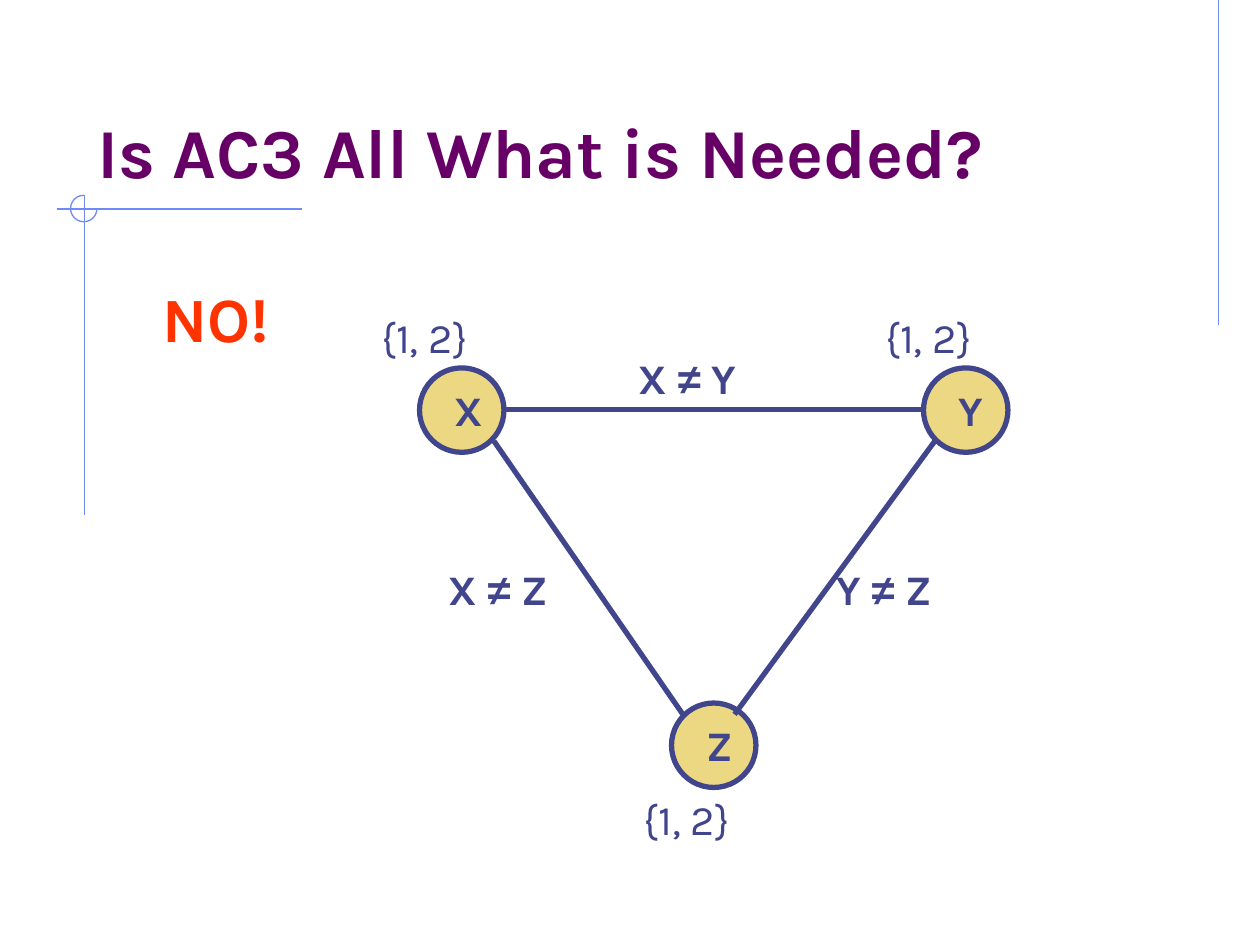
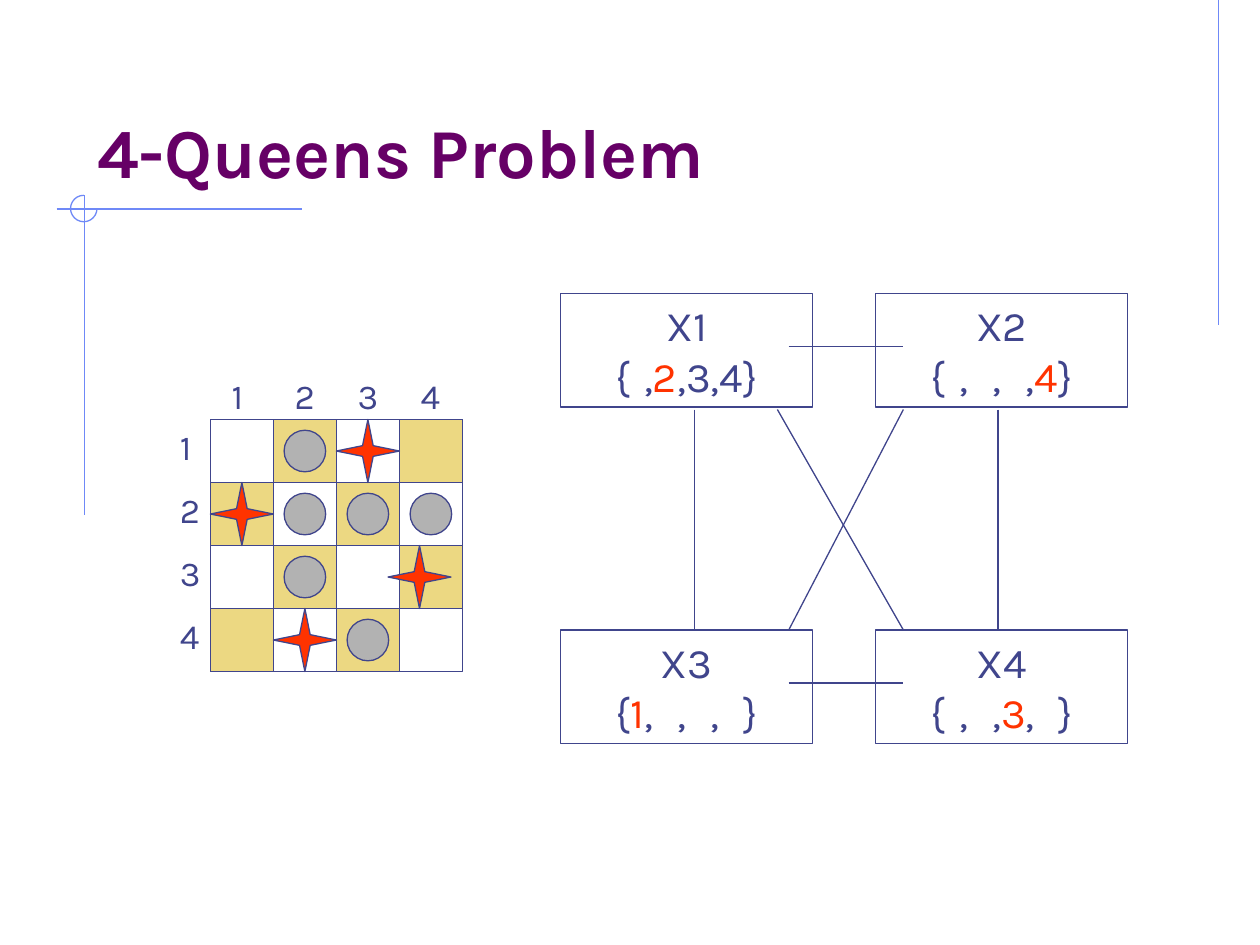
import pptx
import pptx.util
import pptx.dml.color
import pptx.enum.shapes
import pptx.enum.text
import pptx.oxml.ns
from lxml import etree

Inches = pptx.util.Inches
SHAPE = pptx.enum.shapes.MSO_SHAPE
ALIGN = pptx.enum.text.PP_ALIGN
FONT = "Karla"
COLOURS = {
    "title": "660066",
    "ink": "40458C",
    "accent": "FF3300",
    "sand": "ECD882",
    "grey": "B2B2B2",
    "frame": "6F89F7",
    "paper": "FFFFFF",
}


def colour(name):
    return pptx.dml.color.RGBColor.from_string(COLOURS[name])


# Shared drawing helpers
def add_line(page, start, end, ink="ink", weight=0.75):
    line = page.shapes.add_connector(
        pptx.enum.shapes.MSO_CONNECTOR.STRAIGHT,
        *(Inches(value) for value in (*start, *end)))
    line.line.color.rgb = colour(ink)
    line.line.width = pptx.util.Pt(weight)
    etree.SubElement(line.element.spPr, pptx.oxml.ns.qn("a:effectLst"))
    return line


def add_figure(page, kind, box, fill=None, ink="ink", weight=0.75):
    figure = page.shapes.add_shape(kind, *(Inches(value) for value in box))
    figure.shadow.inherit = False
    if fill:
        figure.fill.solid()
        figure.fill.fore_color.rgb = colour(fill)
    else:
        figure.fill.background()
    figure.line.color.rgb = colour(ink)
    figure.line.width = pptx.util.Pt(weight)
    return figure


def fit_frame(shape):
    frame = shape.text_frame
    frame.word_wrap = False
    frame.auto_size = pptx.enum.text.MSO_AUTO_SIZE.SHAPE_TO_FIT_TEXT
    frame.vertical_anchor = pptx.enum.text.MSO_ANCHOR.TOP
    return frame


def style_paragraph(para, size, ink="ink", bold=False, align=ALIGN.LEFT):
    para.alignment = align
    para.font.name = FONT
    para.font.size = pptx.util.Pt(size)
    para.font.bold = bold
    para.font.color.rgb = colour(ink)


def add_text(page, text, box, size=24, ink="ink", bold=False):
    frame = fit_frame(page.shapes.add_textbox(*(Inches(value) for value in box)))
    para = frame.paragraphs[0]
    style_paragraph(para, size, ink, bold)
    # The inequality sign is set in Arial
    before, sign, after = text.partition("≠")
    for part in filter(None, (before, sign, after)):
        span = para.add_run()
        span.text = part
        if part == "≠":
            span.font.name = "Arial"


def add_titled_page(deck, layout, text):
    page = deck.slides.add_slide(layout)
    title = page.shapes.title
    title.left, title.top = Inches(0.67), Inches(0.33)
    title.width, title.height = Inches(8.5), Inches(1.25)
    title.text = text
    frame = title.text_frame
    frame.auto_size = pptx.enum.text.MSO_AUTO_SIZE.NONE
    frame.vertical_anchor = pptx.enum.text.MSO_ANCHOR.BOTTOM
    style_paragraph(frame.paragraphs[0], 40, "title", bold=True)
    return page


def decorate_layout(layout, page):
    """Draw the frame lines and move them to the layout that all pages share."""
    for holder in list(layout.placeholders):
        if holder.placeholder_format.type != pptx.enum.shapes.PP_PLACEHOLDER.TITLE:
            layout.element.cSld.spTree.remove(holder.element)
    parts = [add_line(page, start, end, "frame") for start, end in (
        ((9.67, 0), (9.67, 2.58)),
        ((0.45, 1.66), (2.4, 1.66)),
        ((0.67, 1.55), (0.67, 4.09)))]
    arc = add_figure(page, SHAPE.ARC, (0.56, 1.55, 0.21, 0.21), ink="frame")
    # Clockwise from 0 to 270 degrees
    arc.adjustments[0], arc.adjustments[1] = 0, 162
    for part in parts + [arc]:
        layout.element.cSld.spTree.append(part.element)


# Constraint graph of three variables
def draw_triangle(page, left, top):
    # Name, node offset, domain offset
    nodes = (
        ("X", (0.4, 0.5), (0, 0)),
        ("Y", (4.4, 0.5), (4, 0)),
        ("Z", (2.4, 3.16), (2.08, 3.83)))
    for name, (x, y), domain in nodes:
        add_figure(page, SHAPE.OVAL, (left + x, top + y, 0.67, 0.67), "sand", weight=3)
    for start, end in (
            ((1.07, 0.83), (4.4, 0.83)),
            ((0.99, 1.08), (2.49, 3.25)),
            ((4.49, 1.08), (2.9, 3.25))):
        add_line(page, (left + start[0], top + start[1]),
                 (left + end[0], top + end[1]), weight=3)
    for name, (x, y), domain in nodes:
        add_text(page, name, (left + x + 0.18, top + y + 0.08, 0.4, 0.5), bold=True)
        add_text(page, "{1, 2}", (left + domain[0], top + domain[1], 1.4, 0.5))
    for text, x, y in (("X ≠ Y", 2.04, 0.33), ("X ≠ Z", 0.53, 2), ("Y ≠ Z", 3.61, 2)):
        add_text(page, text, (left + x, top + y, 1.26, 0.5), bold=True)


# Chess board with queens (stars) and attacked squares (discs)
def draw_board(page, left, top, cell=0.5, count=4):
    add_figure(page, SHAPE.RECTANGLE, (left, top, cell * count, cell * count))
    for row in range(count):
        for column in range(count):
            if (row + column) % 2:
                add_figure(page, SHAPE.RECTANGLE,
                           (left + column * cell, top + row * cell, cell, cell), "sand")
    for index in range(count):
        label = str(index + 1)
        add_text(page, label, (left - 0.34, top + index * cell, 0.37, 0.44), 20)
        add_text(page, label, (left + 0.07 + index * cell, top - 0.41, 0.37, 0.44), 20)
    disc = 0.33
    inset = (cell - disc) / 2
    for row, column in ((0, 1), (1, 1), (1, 2), (1, 3), (2, 1), (3, 2)):
        add_figure(page, SHAPE.OVAL, (left + column * cell + inset,
                                      top + row * cell + inset, disc, disc), "grey")
    # The queen of row 3 stands a little left of its square
    for row, x in ((0, 1), (1, 0), (2, 1.41), (3, 0.5)):
        queen = add_figure(page, SHAPE.STAR_4_POINT,
                           (left + x, top + row * cell, cell, cell), "accent")
        queen.adjustments[0] = 0.12


def add_domain(page, name, chosen, open_values, box):
    frame = fit_frame(add_figure(page, SHAPE.RECTANGLE, box))
    heading, domain = frame.paragraphs[0], frame.add_paragraph()
    heading.text = name
    for para in (heading, domain):
        style_paragraph(para, 24, align=ALIGN.CENTER)
    # Removed values keep their room in the paper colour
    for value in "1234":
        domain.add_run().text = "{" if value == "1" else ","
        span = domain.add_run()
        span.text = value
        if value == chosen:
            span.font.color.rgb = colour("accent")
        elif value not in open_values:
            span.font.color.rgb = colour("paper")
    domain.add_run().text = "}"


# Constraint graph of the four queens
def draw_domains(page, left, top):
    column_step, row_step = 2.5, 2.67
    for index, (chosen, open_values) in enumerate(
            (("2", "34"), ("4", ""), ("1", ""), ("3", ""))):
        row, column = divmod(index, 2)
        add_domain(page, f"X{index + 1}", chosen, open_values,
                   (left + column * column_step, top + row * row_step, 2, 0.9))
    for start, end in (
            ((1.81, 0.42), (2.72, 0.42)),
            ((1.81, 3.09), (2.72, 3.09)),
            ((1.06, 0.92), (1.06, row_step)),
            ((3.47, 0.92), (3.47, row_step)),
            ((1.72, 0.92), (2.72, row_step)),
            ((2.72, 0.92), (1.81, row_step))):
        add_line(page, (left + start[0], top + start[1]), (left + end[0], top + end[1]))


def main():
    deck = pptx.Presentation()
    deck.slide_width, deck.slide_height = Inches(10), Inches(7.5)
    layout = deck.slide_layouts[5]

    page = add_titled_page(deck, layout, "Is AC3 All What is Needed?")
    decorate_layout(layout, page)
    add_text(page, "NO!", (1.19, 2.17, 1.1, 0.7), 36, "accent", bold=True)
    draw_triangle(page, 2.93, 2.42)

    page = add_titled_page(deck, layout, "4-Queens Problem")
    draw_domains(page, 4.45, 2.33)
    draw_board(page, 1.67, 3.33)

    deck.save("out.pptx")


if __name__ == "__main__":
    main()
